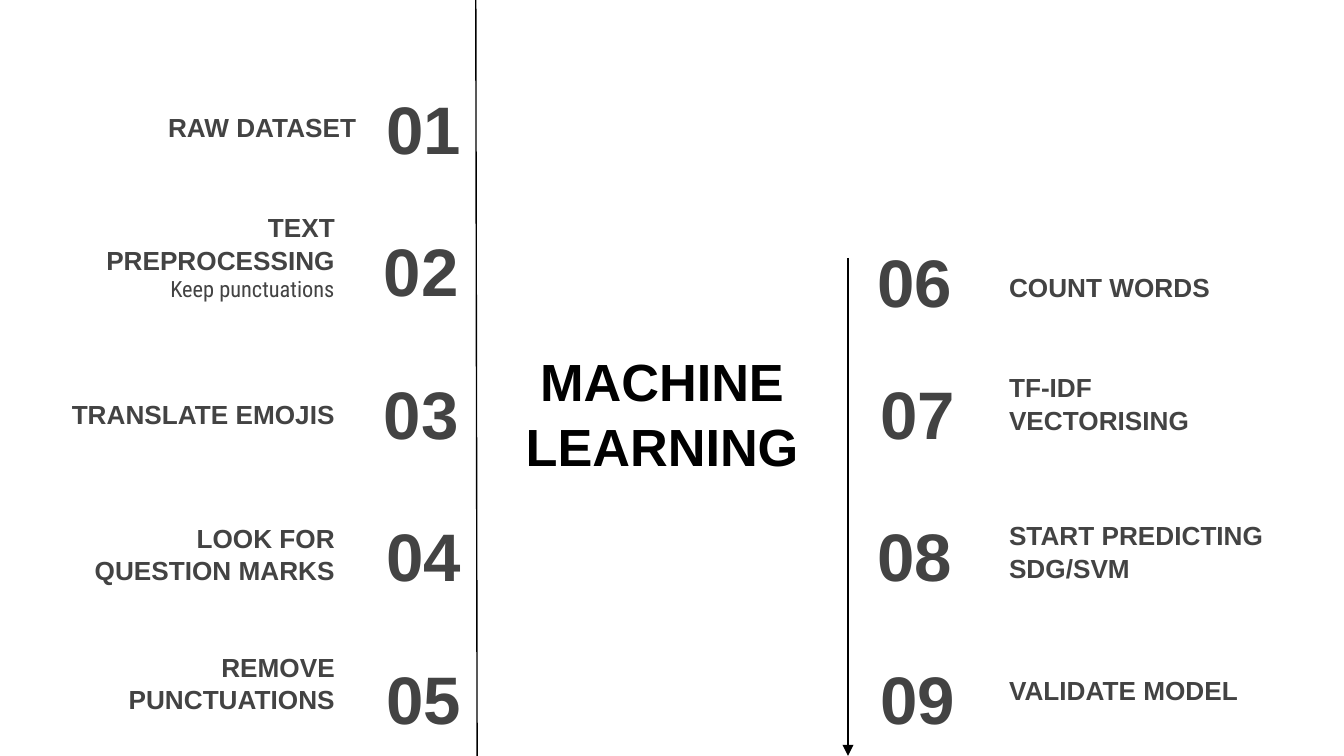
from lxml import etree
from pptx import Presentation
from pptx.dml.color import RGBColor
from pptx.enum.shapes import MSO_CONNECTOR
from pptx.enum.text import MSO_ANCHOR, MSO_AUTO_SIZE, PP_ALIGN
from pptx.oxml.ns import qn
from pptx.util import Pt

LEFT, CENTER, RIGHT = PP_ALIGN.LEFT, PP_ALIGN.CENTER, PP_ALIGN.RIGHT
TOP, MIDDLE, BOTTOM = MSO_ANCHOR.TOP, MSO_ANCHOR.MIDDLE, MSO_ANCHOR.BOTTOM
NO_FIT = MSO_AUTO_SIZE.NONE
STRAIGHT = MSO_CONNECTOR.STRAIGHT

COLORS = {"title": "000000", "text": "434343", "line": "000000"}
WIDTH, HEIGHT = 720, 405
ROW_TOP, ROW_STEP, BOX_H = 44.6, 76.4, 45.4

LEFT_STEPS = [
    ("01", 167, "RAW DATASET", 42.5, 38.2),
    ("02", 165.6, "TEXT PREPROCESSING", 31, 109.4),
    ("03", 165.6, "TRANSLATE EMOJIS", 31, 192.2),
    ("04", 167, "LOOK FOR QUESTION MARKS", 31, 275.8),
    ("05", 167, "REMOVE PUNCTUATIONS", 31, 344.9),
]
RIGHT_STEPS = [
    ("06", 463, 126.7, "COUNT WORDS", 123.8),
    ("07", 464.4, ROW_TOP + 2 * ROW_STEP, "TF-IDF VECTORISING", 195.1),
    ("08", 463, ROW_TOP + 3 * ROW_STEP, "START PREDICTING SDG/SVM", 274.3),
    ("09", 464.4, ROW_TOP + 4 * ROW_STEP, "VALIDATE MODEL", 339.8),
]


class Deck:
    """Holds the style and the current slide, and draws each kind of element."""

    def __init__(self):
        self.prs = Presentation()
        self.prs.slide_width, self.prs.slide_height = Pt(WIDTH), Pt(HEIGHT)
        self.s = self.prs.slides.add_slide(self.prs.slide_layouts[0])

    def set_text(self, sp, box, lines, size, align, anchor, color="text", font="Arial", bold=True):
        sp.left, sp.top, sp.width, sp.height = (Pt(v) for v in box)
        tf = sp.text_frame
        tf.word_wrap, tf.auto_size, tf.vertical_anchor = True, NO_FIT, anchor
        tf.margin_left = tf.margin_right = tf.margin_top = tf.margin_bottom = Pt(7.2)
        p = tf.paragraphs[0]
        p.alignment, p.space_before = align, Pt(0)
        p.line_spacing = 1.04
        for i, line in enumerate(lines):
            if i:
                p.add_line_break()
            r = p.add_run()
            r.text = line
            r.font.size, r.font.name, r.font.bold = Pt(size), font, bold
            r.font.color.rgb = RGBColor.from_string(COLORS[color])

    def title(self, box, lines):
        self.set_text(self.s.shapes.title, box, lines, 28, CENTER, MIDDLE, "title")

    def note(self, box, text):
        self.set_text(self.s.placeholders[1], box, [text], 12, RIGHT, TOP,
                      font="Roboto Condensed", bold=False)

    def text(self, box, text, size, align, anchor):
        sp = self.s.shapes.add_textbox(0, 0, 0, 0)
        self.set_text(sp, box, [text], size, align, anchor)

    def number(self, x, y, w, text, align):
        self.text((x, y, w, BOX_H), text, 36, align, MIDDLE)

    def label(self, x, y, text, align):
        self.text((x, y, 155.5, BOX_H), text, 14, align, BOTTOM)

    def line(self, x1, y1, x2, y2, arrow=False):
        c = self.s.shapes.add_connector(STRAIGHT, Pt(x1), Pt(y1), Pt(x2), Pt(y2))
        c.line.width = Pt(0.75)
        c.line.color.rgb = RGBColor.from_string(COLORS["line"])
        spPr = c._element.spPr
        if arrow:
            etree.SubElement(spPr.find(qn("a:ln")), qn("a:tailEnd"), type="triangle")
        etree.SubElement(spPr, qn("a:effectLst"))


def main():
    deck = Deck()
    deck.title((261.4, 183.6, 186.5, 74.2), ["MACHINE", "LEARNING"])
    deck.note((54.7, 139.7, 131.8, BOX_H), "Keep punctuations")
    for i, (number, x, label, label_x, label_y) in enumerate(LEFT_STEPS):
        deck.number(x, ROW_TOP + i * ROW_STEP, 87.1, number, RIGHT)
        deck.label(label_x, label_y, label, RIGHT)
    for number, x, y, label, label_y in RIGHT_STEPS:
        deck.number(x, y, 84.2, number, LEFT)
        deck.label(533.5, label_y, label, LEFT)
    deck.line(454.3, 138.2, 454.3, HEIGHT, arrow=True)
    deck.line(254.9, 0, 255.6, HEIGHT)
    deck.prs.save("out.pptx")


if __name__ == "__main__":
    main()
